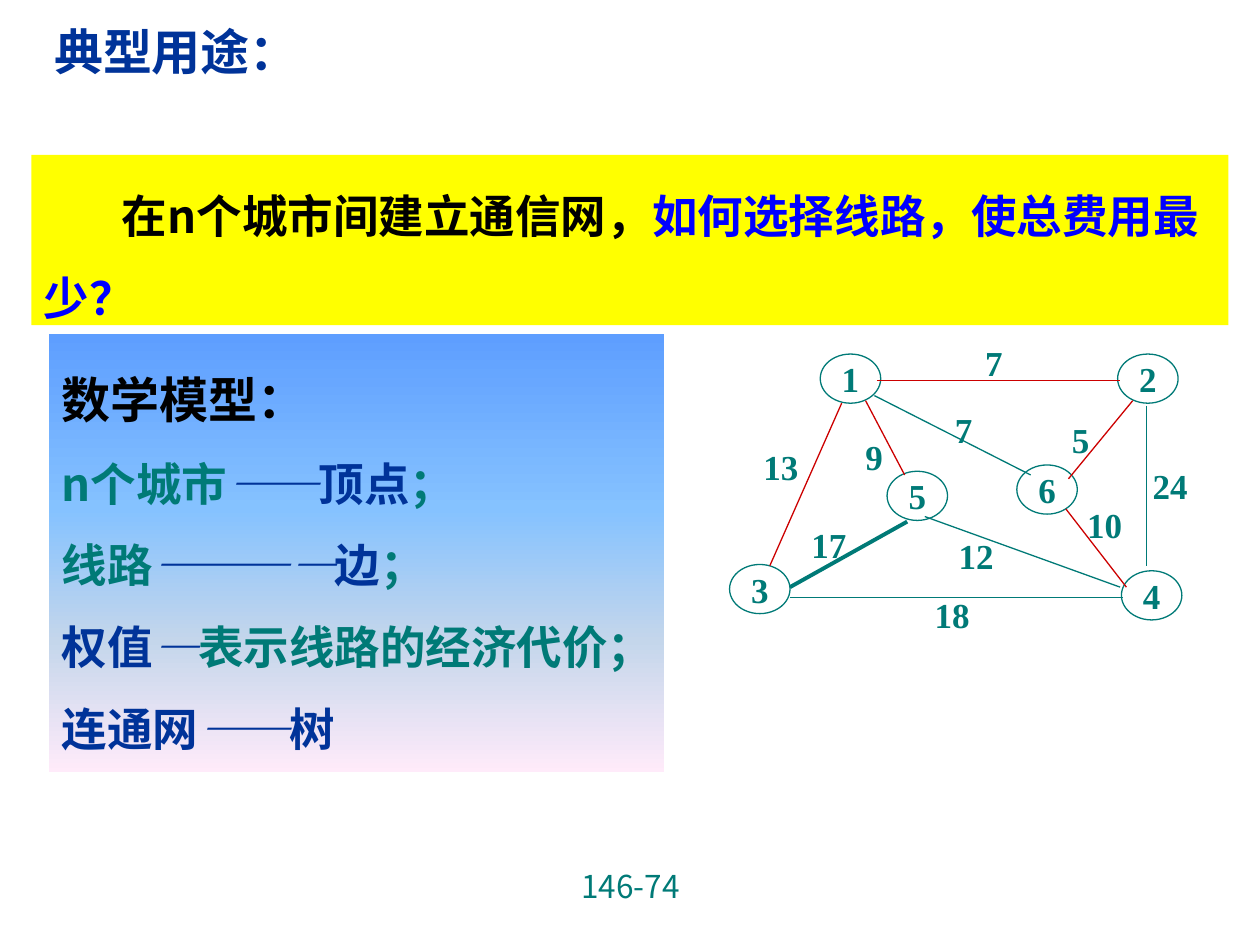
from lxml import etree
from pptx import Presentation
from pptx.dml.color import RGBColor
from pptx.enum.shapes import MSO_CONNECTOR, MSO_SHAPE
from pptx.enum.text import MSO_ANCHOR, MSO_AUTO_SIZE, PP_ALIGN
from pptx.oxml import parse_xml
from pptx.oxml.ns import nsdecls, qn
from pptx.util import Inches, Pt

RECT, OVAL = MSO_SHAPE.RECTANGLE, MSO_SHAPE.OVAL
STRAIGHT = MSO_CONNECTOR.STRAIGHT
TOP, MIDDLE = MSO_ANCHOR.TOP, MSO_ANCHOR.MIDDLE
LEFT, CENTER = PP_ALIGN.LEFT, PP_ALIGN.CENTER

C = {"teal": "007A77", "navy": "003399", "blue": "0000FF", "black": "000000",
     "red": "CC0000", "yellow": "FFFF00"}
SANS, PAGE_FONT, SERIF = "Noto Sans CJK SC", "Noto Sans CJK JP", "Times New Roman"

# Content: each run is (text, colour, italic)
TITLE = [("典型用途：", "navy", False)]
QUESTION = [("在n个城市间建立通信网，", "black", False),
            ("如何选择线路，使总费用最少？", "blue", False)]
MODEL = [
    [("数学模型：", "black", False)],
    [("n个城市", "teal", False), ("——", "navy", True),
     ("顶点", "navy", False), ("；", "teal", False)],
    [("线路", "teal", False), ("————", "navy", True),
     ("边", "navy", False), ("；", "teal", False)],
    [("权值", "navy", False), ("—", "navy", True),
     ("表示线路的经济代价；", "teal", False)],
    [("连通网", "navy", False), ("——", "navy", True), ("树", "navy", False)],
]
GRADIENT = [(0, "5E9EFF"), (40, "85C2FF"), (70, "C4D6EB"), (100, "FFEBFA")]

# Graph: nodes (name, left, top), edges (from, to, colour, width),
# weights (text, left, top)
NODES = [("1", 6.51, 2.81), ("6", 8.07, 3.69), ("5", 7.04, 3.74),
         ("4", 8.9, 4.53), ("3", 5.79, 4.48), ("2", 8.87, 2.81)]
EDGES = [
    ((6.96, 3.02), (8.89, 3.02), "red", 0.75),
    ((6.68, 3.2), (6.11, 4.49), "red", 0.75),
    ((6.87, 3.18), (7.18, 3.77), "red", 0.75),
    ((6.27, 4.74), (8.91, 4.74), "teal", 0.75),
    ((7.2, 4.14), (6.27, 4.66), "teal", 2.25),
    ((6.94, 3.14), (8.18, 3.77), "teal", 0.75),
    ((9.1, 3.22), (9.1, 4.49), "teal", 0.75),
    ((8.99, 3.18), (8.48, 3.8), "red", 0.75),
    ((8.46, 4.04), (8.94, 4.66), "red", 0.75),
    ((7.34, 4.1), (8.89, 4.66), "teal", 0.75),
]
WEIGHTS = [("7", 7.72, 2.66), ("13", 5.96, 3.49), ("17", 6.34, 4.11),
           ("9", 6.77, 3.41), ("18", 7.32, 4.66), ("12", 7.51, 4.19),
           ("7", 7.48, 3.19), ("5", 8.41, 3.27), ("24", 9.05, 3.64),
           ("10", 8.53, 3.95)]


def rgb(name):
    return RGBColor.from_string(C[name])


def write(p, runs, size, font=SANS, bold=True, align=LEFT, spacing=None):
    p.alignment = align
    if spacing:
        p.line_spacing = spacing
    for text, color, italic in runs:
        r = p.add_run()
        r.text = text
        r.font.size, r.font.bold, r.font.italic = Pt(size), bold, italic
        r.font.color.rgb = rgb(color)
        r.font.name = font
        etree.SubElement(r.font._element, qn("a:ea"), typeface=font)


def indent(p, left, first):
    pPr = p._p.get_or_add_pPr()
    pPr.set("marL", str(Inches(left)))
    pPr.set("indent", str(Inches(first)))


def frame(sp, anchor=TOP, wrap=True):
    tf = sp.text_frame
    tf.auto_size = MSO_AUTO_SIZE.NONE
    tf.vertical_anchor, tf.word_wrap = anchor, wrap
    return tf


def add_shape(shapes, kind, *box):
    sp = shapes.add_shape(kind, *map(Inches, box))
    sp.shadow.inherit = False
    sp.fill.background()
    sp.line.fill.background()
    return sp


prs = Presentation()
prs.slide_width, prs.slide_height = Inches(10), Inches(7.5)
s = prs.slides.add_slide(prs.slide_layouts[5])

# Title
title = s.shapes.title
title.left, title.top, title.width, title.height = map(Inches, (0.33, 0, 3.65, 0.58))
write(frame(title, MIDDLE).paragraphs[0], TITLE, 28, spacing=1.5)

# Page number
page = s.shapes.add_textbox(*map(Inches, (3.42, 6.83, 3.17, 0.52)))
write(frame(page).paragraphs[0], [("146-74", "teal", False)], 18, PAGE_FONT,
      bold=False, align=CENTER)

# Question band
band = add_shape(s.shapes, RECT, 0.25, 1.23, 9.5, 1.35)
band.fill.solid()
band.fill.fore_color.rgb = rgb("yellow")
p = frame(band).paragraphs[0]
indent(p, 0, 0.62)
write(p, QUESTION, 26, spacing=1.5)

# Mathematical model on a vertical gradient
model = add_shape(s.shapes, RECT, 0.39, 2.65, 4.88, 3.48)
stops = "".join(f'<a:gs pos="{pos * 1000}"><a:srgbClr val="{color}"/></a:gs>'
                for pos, color in GRADIENT)
no_fill = model._element.spPr.find(qn("a:noFill"))
no_fill.getparent().replace(no_fill, parse_xml(
    f'<a:gradFill {nsdecls("a")} rotWithShape="1"><a:gsLst>{stops}</a:gsLst>'
    '<a:lin ang="5400000" scaled="0"/></a:gradFill>'))
tf = frame(model)
for i, runs in enumerate(MODEL):
    p = tf.add_paragraph() if i else tf.paragraphs[0]
    indent(p, 0.42, -0.42)
    write(p, runs, 26 if i else 28, spacing=1.5)

# Weighted graph
graph = s.shapes.add_group_shape().shapes
for name, x, y in NODES:
    node = add_shape(graph, OVAL, x, y, 0.48, 0.39)
    node.line.color.rgb, node.line.width = rgb("teal"), Pt(0.75)
    write(frame(node, MIDDLE, False).paragraphs[0], [(name, "teal", False)],
          20, SERIF, align=CENTER)

for start, end, color, width in EDGES:
    edge = graph.add_connector(STRAIGHT, *map(Inches, start + end))
    edge.line.color.rgb, edge.line.width = rgb(color), Pt(width)
    etree.SubElement(edge._element.spPr, qn("a:effectLst"))

for text, x, y in WEIGHTS:
    width = 0.2 + 0.14 * len(text)
    label = graph.add_textbox(*map(Inches, (x, y, width, 0.43)))
    write(frame(label, MIDDLE, False).paragraphs[0], [(text, "teal", False)],
          20, SERIF)

prs.save("out.pptx")
